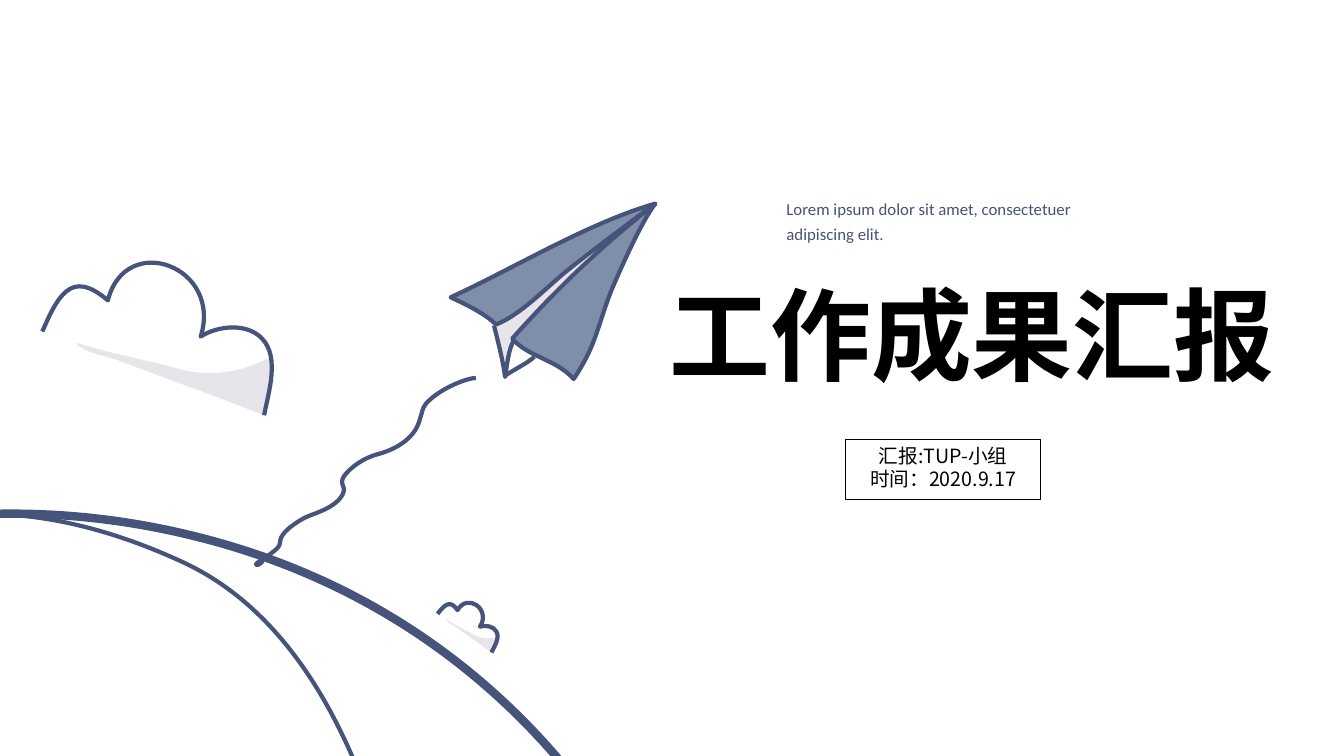
"""Builds the cover slide of a work report with line-art hills, plane and clouds."""
import math
from dataclasses import dataclass

from lxml import etree
from pptx import Presentation
from pptx import util as u
from pptx.dml.color import RGBColor
from pptx.enum import shapes, text
from pptx.oxml.ns import qn


@dataclass(frozen=True)
class Theme:
    """Colours, fonts and type sizes."""
    ink: str = "46537A"
    wing: str = "7F8FA9"
    shade: str = "E7E4EA"
    caption: str = "475278"
    black: str = "000000"
    title_font: str = "Arial"
    caption_font: str = "Calibri"
    cjk_font: str = "Noto Sans CJK SC"
    title_pt: int = 72
    caption_pt: int = 12
    meta_pt: int = 14
    stroke_pt: int = 3
    hill_pt: int = 6
    frame_pt: float = 0.75


PX = 9144
HILL = [(649, 1744), (870, 1319, 728, 667, 197, 533), (-361, 391, -901, 920, -829, 1456),
        (-735, 2140, 133, 2409, 568, 1868), (599, 1829, 626, 1788, 649, 1744)]
PATH_ON_HILL = [(57, 2123), (438, 1999, 471, 1379, 424, 1047), (401, 883, 351, 637, 182, 558),
                (-350, 311, -571, 1071, -537, 1433), (-512, 1707, -292, 2236, 57, 2123)]
TRAIL_END = [(254, 560), (254, 559, 258, 556, 260, 556), (263, 556, 254, 563, 254, 560)]
TRAIL = [(472, 375), (464, 375, 440, 384, 426, 397), (420, 402, 419, 407, 418, 411),
         (416, 417, 415, 425, 406, 434), (397, 443, 384, 448, 377, 450),
         (369, 452, 358, 456, 347, 466), (329, 483, 350, 480, 336, 496),
         (329, 503, 321, 506, 314, 509), (306, 512, 302, 513, 292, 520),
         (286, 524, 281, 529, 279, 533), (277, 537, 279, 540, 275, 544),
         (272, 547, 265, 552, 261, 555)]
FOLD = [(510, 337), (504, 347, 502, 362, 501, 373), (499, 357, 493, 339, 490, 323),
        (593, 244), (510, 337)]
RIGHT_WING = [(650, 202), (594, 246, 550, 289, 508, 336), (525, 355, 551, 356, 569, 376),
              (591, 343, 592, 326, 606, 289), (615, 268, 636, 220, 650, 202)]
LEFT_WING = [(562, 269), (541, 286, 517, 312, 492, 322), (481, 311, 462, 302, 447, 295),
             (510, 266, 584, 221, 650, 202), (650, 202, 589, 247, 562, 269)]
KEEL = [(510, 337), (504, 347, 503, 363, 501, 374), (499, 358, 494, 339, 490, 323)]
TAIL = [(530, 354), (522, 361, 511, 366, 502, 372)]
CLOUD_SHADE = [(75, 340), (118, 353, 151, 358, 181, 367), (210, 374, 241, 369, 267, 355),
               (273, 367, 262, 412, 262, 412), (229, 399, 197, 387, 164, 375),
               (148, 369, 132, 363, 116, 357), (104, 353, 83, 350, 75, 340)]
CLOUD_EDGE = [(42, 329), (49, 313, 56, 297, 66, 289), (76, 281, 88, 282, 107, 298),
              (116, 263, 145, 255, 168, 264), (192, 273, 210, 300, 199, 334),
              (216, 323, 245, 320, 260, 336), (278, 355, 266, 390, 262, 412)]


def pairs(step):
    """Splits a flat step into points."""
    return list(zip(step[::2], step[1::2]))


def bezier(pts, t):
    """Returns the point at t on a cubic curve."""
    weights = ((1 - t) ** 3, 3 * t * (1 - t) ** 2, 3 * t * t * (1 - t), t ** 3)
    return tuple(sum(w * p[axis] for w, p in zip(weights, pts)) for axis in (0, 1))


class Cover:
    """Draws styled elements on one slide."""

    def __init__(self, prs, theme):
        self.theme = theme
        self.s = prs.slides.add_slide(prs.slide_layouts[5])

    def paragraph(self, p, wording, size, font, color, bold=False,
                  align=text.PP_ALIGN.LEFT):
        """Fills and formats one paragraph."""
        p.text = wording
        p.alignment = align
        p.font.size, p.font.name, p.font.bold = u.Pt(size), font, bold
        p.font.color.rgb = RGBColor.from_string(color)
        etree.SubElement(p._p.pPr.find(qn("a:defRPr")), qn("a:ea"),
                         typeface=self.theme.cjk_font)

    def place(self, sp, x, y, w, h):
        """Moves and sizes a shape."""
        sp.left, sp.top, sp.width, sp.height = (v * PX for v in (x, y, w, h))

    def title(self, wording, *box):
        """Formats the title placeholder."""
        sp = self.s.shapes.title
        self.place(sp, *box)
        tf = sp.text_frame
        tf.word_wrap = False
        tf.auto_size = text.MSO_AUTO_SIZE.SHAPE_TO_FIT_TEXT
        tf.vertical_anchor = text.MSO_ANCHOR.TOP
        self.paragraph(tf.paragraphs[0], wording, self.theme.title_pt,
                       self.theme.title_font, self.theme.black, bold=True)

    def caption(self, wording, *box):
        """Adds the small wrapped text."""
        tf = self.s.shapes.add_textbox(*(v * PX for v in box)).text_frame
        tf.word_wrap = True
        tf.vertical_anchor = text.MSO_ANCHOR.MIDDLE
        tf.margin_left = tf.margin_right = tf.margin_top = tf.margin_bottom = 4 * PX
        p = tf.paragraphs[0]
        p.line_spacing = 1.2
        self.paragraph(p, wording, self.theme.caption_pt, self.theme.caption_font,
                       self.theme.caption)

    def framed(self, lines, *box):
        """Adds a thin frame with centred lines."""
        sp = self.s.shapes.add_shape(shapes.MSO_SHAPE.RECTANGLE, *(v * PX for v in box))
        self.finish(sp, None, self.theme.black, self.theme.frame_pt)
        tf = sp.text_frame
        tf.word_wrap = True
        tf.vertical_anchor = text.MSO_ANCHOR.TOP
        tf.margin_left = tf.margin_right = 0
        tf.margin_top = tf.margin_bottom = 4 * PX
        for i, wording in enumerate(lines):
            p = tf.add_paragraph() if i else tf.paragraphs[0]
            self.paragraph(p, wording, self.theme.meta_pt, self.theme.cjk_font,
                           self.theme.black, align=text.PP_ALIGN.CENTER)

    def finish(self, sp, fill, line, width):
        """Sets fill, line and shadow."""
        sp.shadow.inherit = False
        if fill:
            sp.fill.solid()
            sp.fill.fore_color.rgb = RGBColor.from_string(fill)
        else:
            sp.fill.background()
        if line:
            sp.line.color.rgb = RGBColor.from_string(line)
            sp.line.width = u.Pt(width)
        else:
            sp.line.fill.background()

    def outline(self, steps, fill=None, line=None, width=3, closed=False):
        """Draws a path of curves (six numbers) and straight lines (two numbers)."""
        steps = [[(round(x * PX), round(y * PX)) for x, y in pairs(step)] for step in steps]
        start = last = steps[0][0]
        trace = []
        for pts in steps[1:]:
            if len(pts) == 3:
                trace += [bezier([last, *pts], i / 24) for i in range(1, 25)]
            else:
                trace += pts
            last = pts[-1]
        builder = self.s.shapes.build_freeform(*start, scale=1.0)
        builder.add_line_segments([(round(x), round(y)) for x, y in trace], close=closed)
        sp = builder.convert_to_shape()
        path = sp._element.xpath(".//a:path")[0]
        for child in list(path):
            path.remove(child)
        for i, pts in enumerate(steps):
            tag = "a:moveTo" if i == 0 else "a:cubicBezTo" if len(pts) == 3 else "a:lnTo"
            command = etree.SubElement(path, qn(tag))
            for x, y in pts:
                etree.SubElement(command, qn("a:pt"), x=str(x - sp.left), y=str(y - sp.top))
        if closed:
            etree.SubElement(path, qn("a:close"))
        self.finish(sp, fill, line, width)

    def cloud(self, x, y, scale=1.0, degrees=0):
        """Draws a cloud whose edge starts at x, y."""
        x0, y0 = CLOUD_EDGE[0]
        c, d = (scale * f(math.radians(degrees)) for f in (math.cos, math.sin))

        def turned(steps):
            return [[v for a, b in pairs(step)
                     for v in (x + c * (a - x0) - d * (b - y0),
                               y + d * (a - x0) + c * (b - y0))] for step in steps]

        self.outline(turned(CLOUD_SHADE), fill=self.theme.shade, closed=True)
        self.outline(turned(CLOUD_EDGE), line=self.theme.ink, width=self.theme.stroke_pt)


def main():
    """Builds and saves the deck."""
    prs = Presentation()
    prs.slide_width, prs.slide_height = 1333 * PX, 750 * PX
    t = Theme()
    cover = Cover(prs, t)
    cover.title("工作成果汇报", 654, 266, 626, 131)
    cover.outline(HILL, line=t.ink, width=t.hill_pt, closed=True)
    for steps, fill, closed in (
            (PATH_ON_HILL, None, True), (TRAIL_END, None, True), (TRAIL, None, False)):
        cover.outline(steps, fill, t.ink, t.stroke_pt, closed)
    cover.outline(FOLD, fill=t.shade, closed=True)
    for steps, fill, closed in (
            (RIGHT_WING, t.wing, True), (LEFT_WING, t.wing, True),
            (KEEL, None, False), (TAIL, None, False)):
        cover.outline(steps, fill, t.ink, t.stroke_pt, closed)
    cover.cloud(42, 329)
    cover.caption("Lorem ipsum dolor sit amet, consectetuer adipiscing elit.", 776, 189, 349, 57)
    cover.cloud(434, 609, scale=0.28, degrees=15)
    cover.framed(["汇报:TUP-小组", "时间：2020.9.17"], 839, 436, 193, 60)
    prs.save("out.pptx")


if __name__ == "__main__":
    main()
